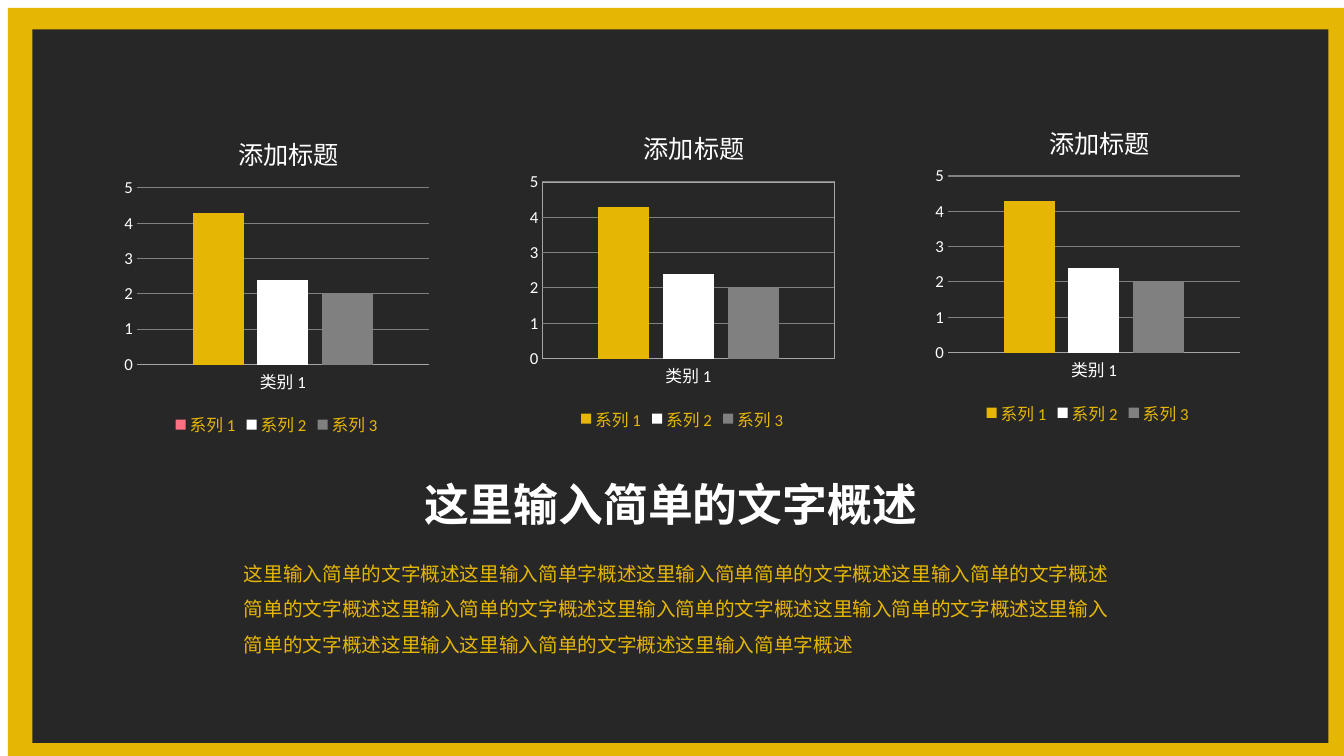
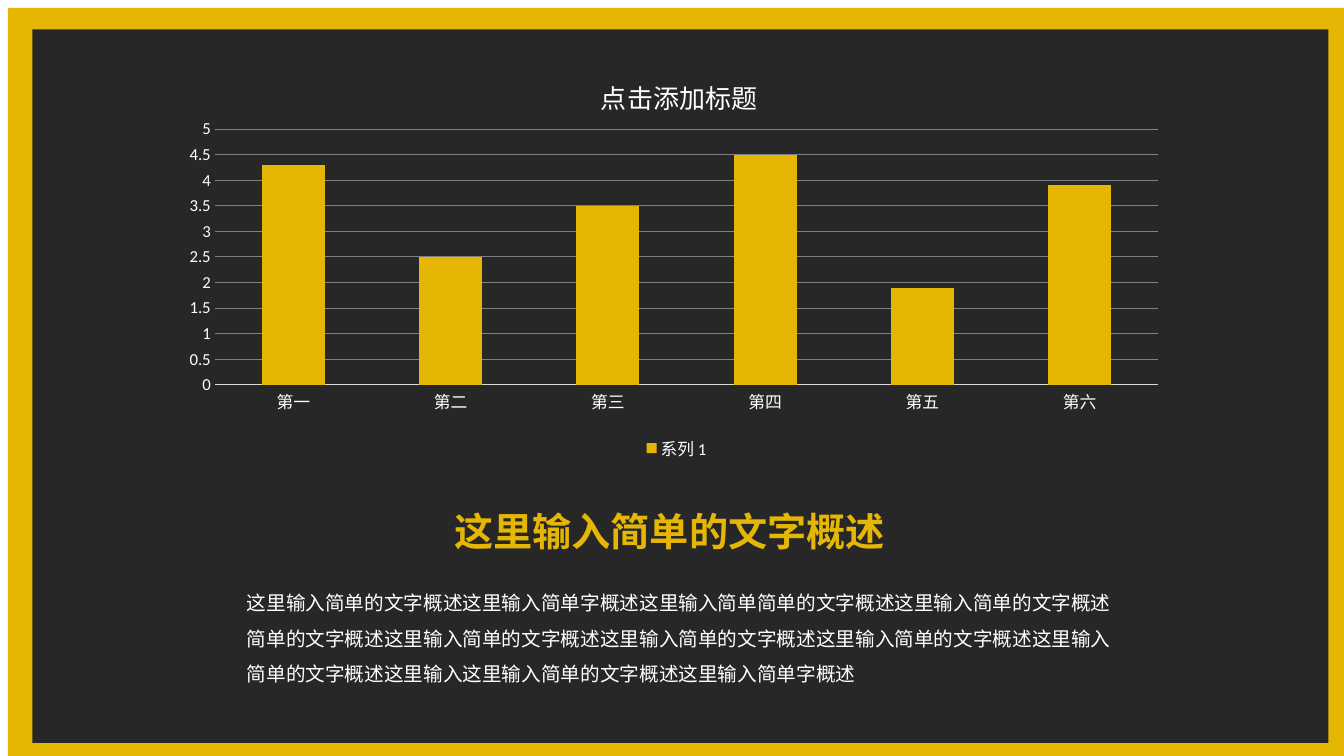
"""Build two dark chart slides with a gold frame."""
from lxml import etree
from pptx import Presentation
from pptx.chart.data import CategoryChartData
from pptx.dml.color import RGBColor
from pptx.enum.chart import XL_CHART_TYPE, XL_LEGEND_POSITION, XL_TICK_MARK
from pptx.enum.shapes import MSO_SHAPE
from pptx.oxml import parse_xml
from pptx.oxml.ns import nsdecls, qn
from pptx.util import Cm, Pt

CLUSTERED = XL_CHART_TYPE.COLUMN_CLUSTERED
STACKED = XL_CHART_TYPE.COLUMN_STACKED
BOTTOM = XL_LEGEND_POSITION.BOTTOM
NO_TICK = XL_TICK_MARK.NONE
RECT = MSO_SHAPE.RECTANGLE

GOLD, DARK, WHITE, GREY = "E5B704", "282728", "FFFFFF", "808080"
SILVER, PALE, PINK = "A6A6A6", "D9D9D9", "FF7182"
LATIN, CJK = "Calibri", "Noto Sans CJK SC"
WIDTH, HEIGHT = 33.87, 19.05

FRAME = [
    ((0.2, 0.2, WIDTH, HEIGHT), GOLD),
    ((0.82, 0.74, 32.66, 17.98), DARK),
]
HEADING = "这里输入简单的文字概述"
BODY = (
    "这里输入简单的文字概述这里输入简单字概述这里输入简单简单的文字概述"
    "这里输入简单的文字概述简单的文字概述这里输入简单的文字概述"
    "这里输入简单的文字概述这里输入简单的文字概述这里输入简单的文字概述"
    "这里输入这里输入简单的文字概述这里输入简单字概述"
)

TRIO = dict(
    kind=CLUSTERED, title="添加标题", title_size=18, title_at=(0.365, 0.06),
    plot=(0.06, 0.24, 0.92, 0.53), cats=["类别 1"],
    series=[("系列 1", [4.3], GOLD), ("系列 2", [2.4], WHITE), ("系列 3", [2], GREY)],
    gap=219, overlap=-27, unit=1, axis_line=SILVER, legend_color=GOLD,
)
TRIO_EXTRAS = [{"key_color": PINK}, {"border": SILVER}, {}]
TRIO_LEFT, TRIO_TOP, TRIO_STEP, TRIO_RISE = 2.97, 2.72, 10.22, 0.15
TRIO_SIZE = (8, 8.4)

SINGLE = dict(
    kind=STACKED, title="点击添加标题", title_size=18.6, title_at=(0.42, 0.06),
    plot=(0.04, 0.2, 0.94, 0.61),
    cats=["第一", "第二", "第三", "第四", "第五", "第六"],
    series=[("系列 1", [4.3, 2.5, 3.5, 4.5, 1.9, 3.9], GOLD)],
    gap=150, overlap=100, unit=0.5, axis_line=PALE, legend_color=WHITE,
)

SLIDES = [
    dict(
        charts=[
            ((TRIO_LEFT + i * TRIO_STEP, TRIO_TOP - i * TRIO_RISE, *TRIO_SIZE),
             {**TRIO, **extra})
            for i, extra in enumerate(TRIO_EXTRAS)
        ],
        body=((5.9, 13.74, 22.35, 2.95), GOLD),
        heading=((10.44, 11.89, 13.06, 1.63), 32, WHITE),
    ),
    dict(
        charts=[((4.4, 1.14, 25.3, 10.57), SINGLE)],
        body=((5.97, 14.48, 22.35, 2.95), WHITE),
        heading=((11.2, 12.65, 11.48, 1.45), 28, GOLD),
    ),
]


def rgb(color):
    return RGBColor.from_string(color)


def box(at):
    return [Cm(v) for v in at]


def fill(fmt, color):
    fmt.fill.solid()
    fmt.fill.fore_color.rgb = rgb(color)


def stroke(line, color):
    line.color.rgb = rgb(color)
    line.width = Pt(0.75)


def set_font(font, size, color, name=LATIN, bold=False):
    font.size, font.name, font.bold = Pt(size), name, bold
    font.color.rgb = rgb(color)


def style_cjk(p, size, color, bold=False):
    set_font(p.font, size, color, CJK, bold)
    props = p._p.pPr.find(qn("a:defRPr"))
    etree.SubElement(props, qn("a:ea")).set("typeface", CJK)


def add_frame(slide):
    for at, color in FRAME:
        sp = slide.shapes.add_shape(RECT, *box(at))
        sp.shadow.inherit = False
        fill(sp, color)
        sp.line.fill.background()


def add_text(slide, at, text, size, color, bold=False, wrap=True, spacing=None):
    tf = slide.shapes.add_textbox(*box(at)).text_frame
    tf.word_wrap = wrap
    p = tf.paragraphs[0]
    p.text = text
    p.line_spacing = spacing
    style_cjk(p, size, color, bold)


def set_layout(parent, index, values, inner=False):
    for old in parent.findall(qn("c:layout")):
        parent.remove(old)
    layout = parse_xml(f"<c:layout {nsdecls('c')}><c:manualLayout/></c:layout>")
    parts = [("layoutTarget", "inner")] if inner else []
    parts += [("xMode", "edge"), ("yMode", "edge"), *zip("xywh", values)]
    for tag, value in parts:
        etree.SubElement(layout[0], qn(f"c:{tag}")).set("val", str(value))
    parent.insert(index, layout)


def area_props(border=None):
    line = f'<a:solidFill><a:srgbClr val="{border}"/></a:solidFill>' if border else "<a:noFill/>"
    return parse_xml(
        f"<c:spPr {nsdecls('c', 'a')}><a:noFill/>"
        f'<a:ln w="9525">{line}</a:ln></c:spPr>'
    )


def add_column_chart(slide, at, spec):
    data = CategoryChartData()
    data.categories = spec["cats"]
    for name, values, _ in spec["series"]:
        data.add_series(name, values)
    chart = slide.shapes.add_chart(spec["kind"], *box(at), data).chart
    set_font(chart.font, 10, WHITE)

    chart.has_title = True
    title = chart.chart_title
    p = title.text_frame.paragraphs[0]
    p.text = spec["title"]
    style_cjk(p, spec["title_size"], WHITE)
    title.include_in_layout = False
    set_layout(title._element, 1, spec["title_at"])

    chart.has_legend = True
    chart.legend.position = BOTTOM
    chart.legend.include_in_layout = False
    set_font(chart.legend.font, 12, spec["legend_color"])

    cat, val = chart.category_axis, chart.value_axis
    for axis in (cat, val):
        axis.major_tick_mark = axis.minor_tick_mark = NO_TICK
        set_font(axis.tick_labels.font, 12, WHITE)
    stroke(cat.format.line, spec["axis_line"])
    val.format.line.fill.background()
    val.minimum_scale, val.maximum_scale, val.major_unit = 0, 5, spec["unit"]
    stroke(val.major_gridlines.format.line, GREY)

    plot = chart.plots[0]
    plot.gap_width, plot.overlap = spec["gap"], spec["overlap"]
    plot.vary_by_categories = False
    for series, (_, _, color) in zip(plot.series, spec["series"]):
        fill(series.format, color)
    if "key_color" in spec:
        first = plot.series[0]
        fill(first.format, spec["key_color"])
        fill(first.points[0].format, spec["series"][0][2])

    root = chart._chartSpace.chart
    root.addnext(area_props())
    root.plotArea.append(area_props(spec.get("border")))
    set_layout(root.plotArea, 0, spec["plot"], inner=True)


def main():
    prs = Presentation()
    prs.slide_width, prs.slide_height = Cm(WIDTH), Cm(HEIGHT)
    for content in SLIDES:
        slide = prs.slides.add_slide(prs.slide_layouts[6])
        add_frame(slide)
        for at, spec in content["charts"]:
            add_column_chart(slide, at, spec)
        at, color = content["body"]
        add_text(slide, at, BODY, 14, color, spacing=1.5)
        at, size, color = content["heading"]
        add_text(slide, at, HEADING, size, color, bold=True, wrap=False)
    prs.save("out.pptx")


if __name__ == "__main__":
    main()
